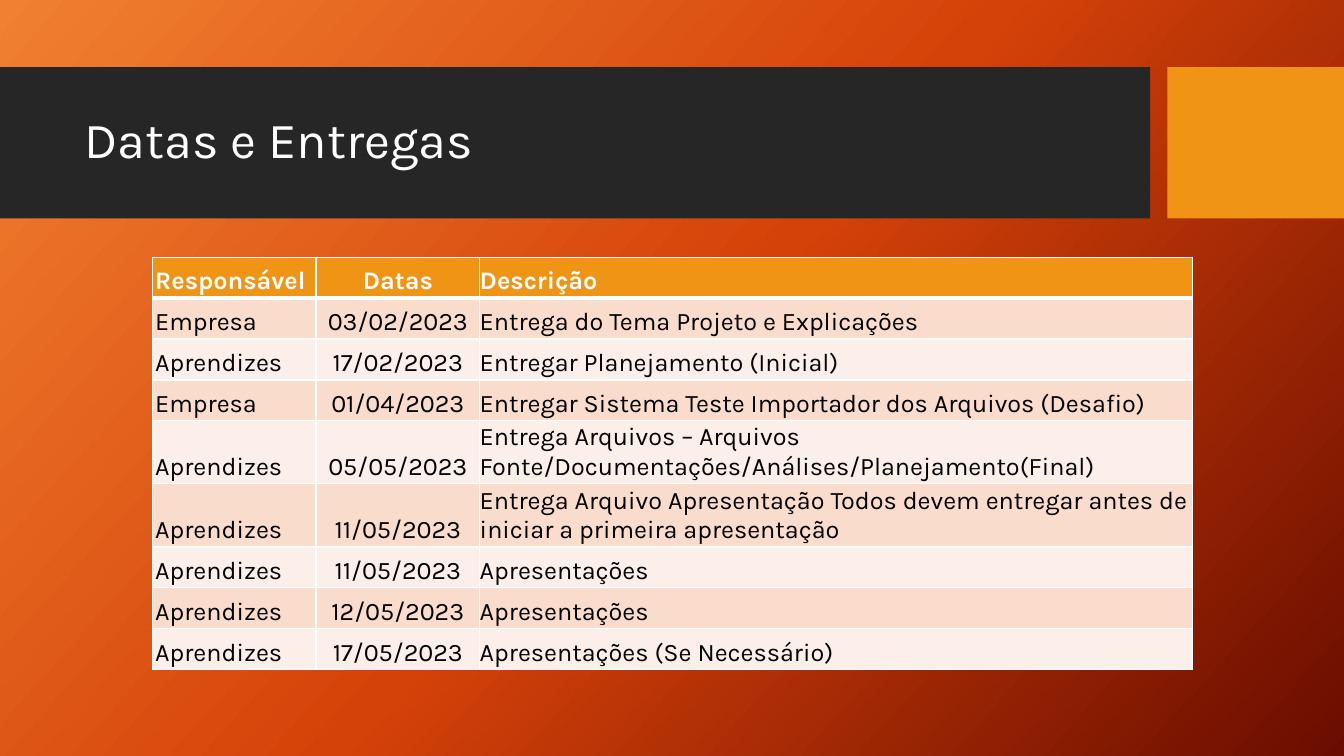
from dataclasses import dataclass

from lxml import etree
from pptx import Presentation
from pptx import util as u
from pptx.dml.color import RGBColor
from pptx.enum import shapes, text
from pptx.oxml import ns

FONT = "Karla"
COLORS = {
    "light_orange": "F18031", "red_orange": "D54209", "dark_red": "6A0D00",
    "charcoal": "262626", "amber": "F09415", "white": "FFFFFF",
    "black": "000000", "band_dark": "F9DCCC", "band_light": "FCEEE8",
}
ROW_HEIGHT = 29.2


@dataclass
class Bar:
    left: float
    width: float
    color: str


@dataclass
class Column:
    heading: str
    width: float
    side_margin: float
    align: text.PP_ALIGN


@dataclass
class Delivery:
    owner: str
    date: str
    description: str


BARS = [Bar(0, 821.5, "charcoal"), Bar(833.8, 126.2, "amber")]
COLUMNS = [
    Column("Responsável", 117, 2.2, text.PP_ALIGN.LEFT),
    Column("Datas", 117, 2.2, text.PP_ALIGN.CENTER),
    Column("Descrição", 509, 0, text.PP_ALIGN.LEFT),
]
DELIVERIES = [
    Delivery("Empresa", "03/02/2023", "Entrega do Tema Projeto e Explicações"),
    Delivery("Aprendizes", "17/02/2023", "Entregar Planejamento (Inicial)"),
    Delivery("Empresa", "01/04/2023",
             "Entregar Sistema Teste Importador dos Arquivos (Desafio)"),
    Delivery("Aprendizes", "05/05/2023",
             "Entrega Arquivos – Arquivos "
             "Fonte/Documentações/Análises/Planejamento(Final)"),
    Delivery("Aprendizes", "11/05/2023",
             "Entrega Arquivo Apresentação Todos devem entregar antes de "
             "iniciar a primeira apresentação"),
    Delivery("Aprendizes", "11/05/2023", "Apresentações"),
    Delivery("Aprendizes", "12/05/2023", "Apresentações"),
    Delivery("Aprendizes", "17/05/2023", "Apresentações (Se Necessário)"),
]


def rgb(name: str) -> RGBColor:
    return RGBColor.from_string(COLORS[name])


def add_span(para, words: str, size: float, color: str, bold: bool = False) -> None:
    span = para.add_run()
    span.text = words
    span.font.name = FONT
    span.font.size = u.Pt(size)
    span.font.bold = bold
    span.font.color.rgb = rgb(color)


def paint_background(page) -> None:
    fill = page.background.fill
    fill.gradient()
    fill.gradient_angle = 360 - 42
    stops = page.element.find(".//" + ns.qn("a:gsLst"))
    for stop in list(stops):
        stops.remove(stop)
    for percent, name in ((0, "light_orange"), (50, "red_orange"), (100, "dark_red")):
        stop = etree.SubElement(stops, ns.qn("a:gs"), pos=str(percent * 1000))
        etree.SubElement(stop, ns.qn("a:srgbClr"), val=COLORS[name])


def draw_bar(page, bar: Bar) -> None:
    box = page.shapes.add_shape(shapes.MSO_SHAPE.RECTANGLE, u.Pt(bar.left),
                                u.Pt(48), u.Pt(bar.width), u.Pt(108))
    box.shadow.inherit = False
    box.fill.solid()
    box.fill.fore_color.rgb = rgb(bar.color)
    box.line.fill.background()


def draw_title(page, words: str) -> None:
    title = page.shapes.title
    title.left, title.top = u.Pt(53.3), u.Pt(59)
    title.width, title.height = u.Pt(756.7), u.Pt(85)
    title.text_frame.word_wrap = True
    title.text_frame.vertical_anchor = text.MSO_ANCHOR.MIDDLE
    para = title.text_frame.paragraphs[0]
    para.alignment = text.PP_ALIGN.LEFT
    para.line_spacing = 0.9
    add_span(para, words, 36, "white")
    # Bring the title in front of the bars
    title.element.getparent().append(title.element)


def set_borders(cell, top: float, bottom: float) -> None:
    properties = cell._tc.get_or_add_tcPr()
    for side, width in (("L", 1), ("R", 1), ("T", top), ("B", bottom)):
        line = etree.SubElement(properties, ns.qn(f"a:ln{side}"), w=str(u.Pt(width)))
        solid = etree.SubElement(line, ns.qn("a:solidFill"))
        etree.SubElement(solid, ns.qn("a:srgbClr"), val=COLORS["white"])


def fill_cell(cell, words: str, column: Column, row: int) -> None:
    header = row == 0
    set_borders(cell, 3 if row == 1 else 1, 3 if header else 1)
    cell.fill.solid()
    band = "band_dark" if row % 2 else "band_light"
    cell.fill.fore_color.rgb = rgb("amber" if header else band)
    cell.vertical_anchor = text.MSO_ANCHOR.BOTTOM
    cell.margin_left = cell.margin_right = u.Pt(column.side_margin)
    cell.margin_top = cell.margin_bottom = u.Pt(1.4)
    para = cell.text_frame.paragraphs[0]
    para.alignment = column.align
    add_span(para, words, 18, "white" if header else "black", header)


def draw_schedule(page) -> None:
    rows = [[column.heading for column in COLUMNS]]
    rows += [[item.owner, item.date, item.description] for item in DELIVERIES]
    width = sum(column.width for column in COLUMNS)
    frame = page.shapes.add_table(len(rows), len(COLUMNS), u.Pt(108.7), u.Pt(183.8),
                                  u.Pt(width), u.Pt(ROW_HEIGHT * len(rows)))
    table = frame.table
    table.horz_banding = False
    for index, column in enumerate(COLUMNS):
        table.columns[index].width = u.Pt(column.width)
    for row, values in enumerate(rows):
        table.rows[row].height = u.Pt(ROW_HEIGHT)
        for index, column in enumerate(COLUMNS):
            fill_cell(table.cell(row, index), values[index], column, row)


def main() -> None:
    deck = Presentation()
    deck.slide_width, deck.slide_height = u.Pt(960), u.Pt(540)
    page = deck.slides.add_slide(deck.slide_layouts.get_by_name("Title Only"))
    # Background and title band
    paint_background(page)
    for bar in BARS:
        draw_bar(page, bar)
    draw_title(page, "Datas e Entregas")
    # Delivery schedule
    draw_schedule(page)
    deck.save("out.pptx")


if __name__ == "__main__":
    main()
